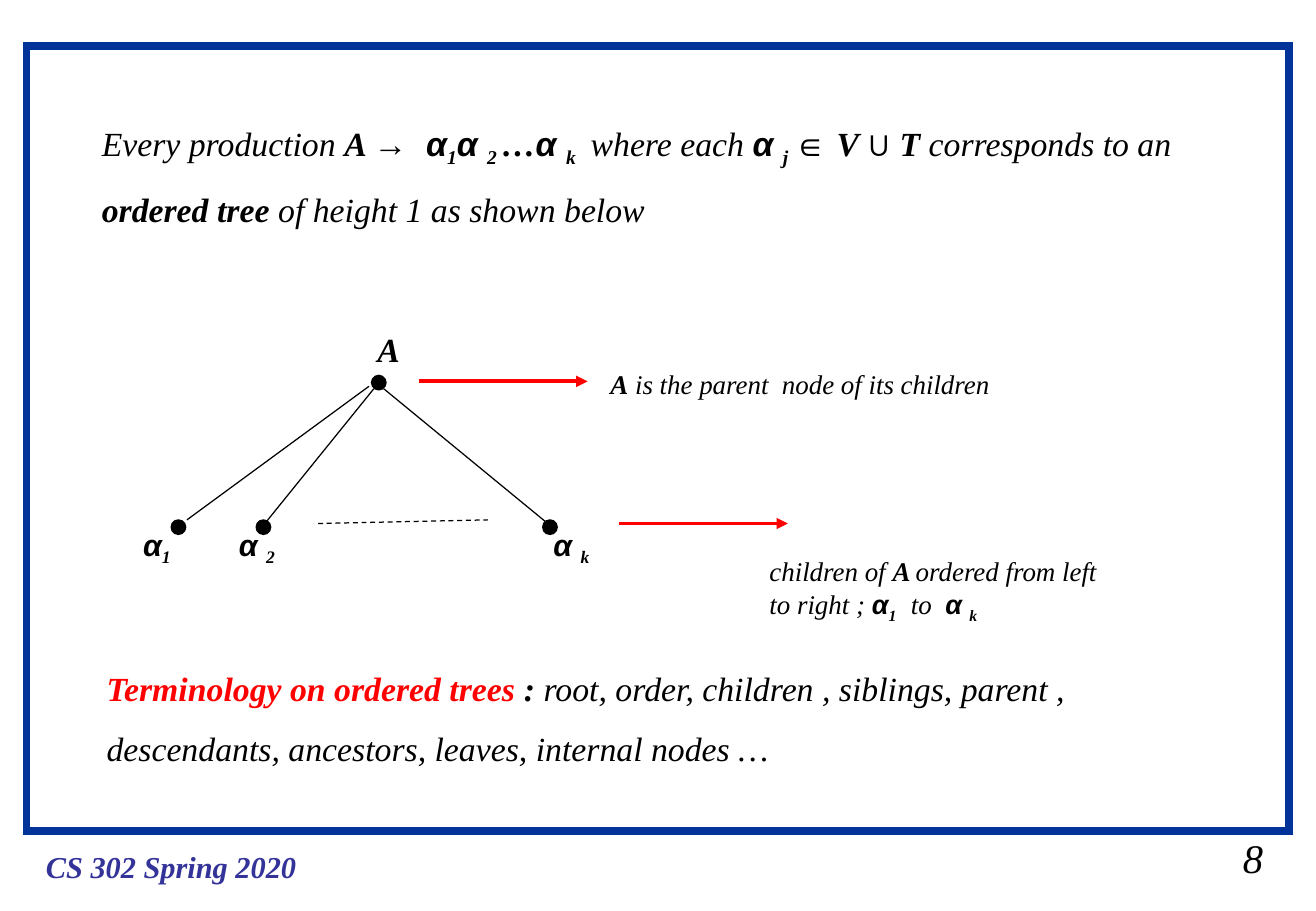
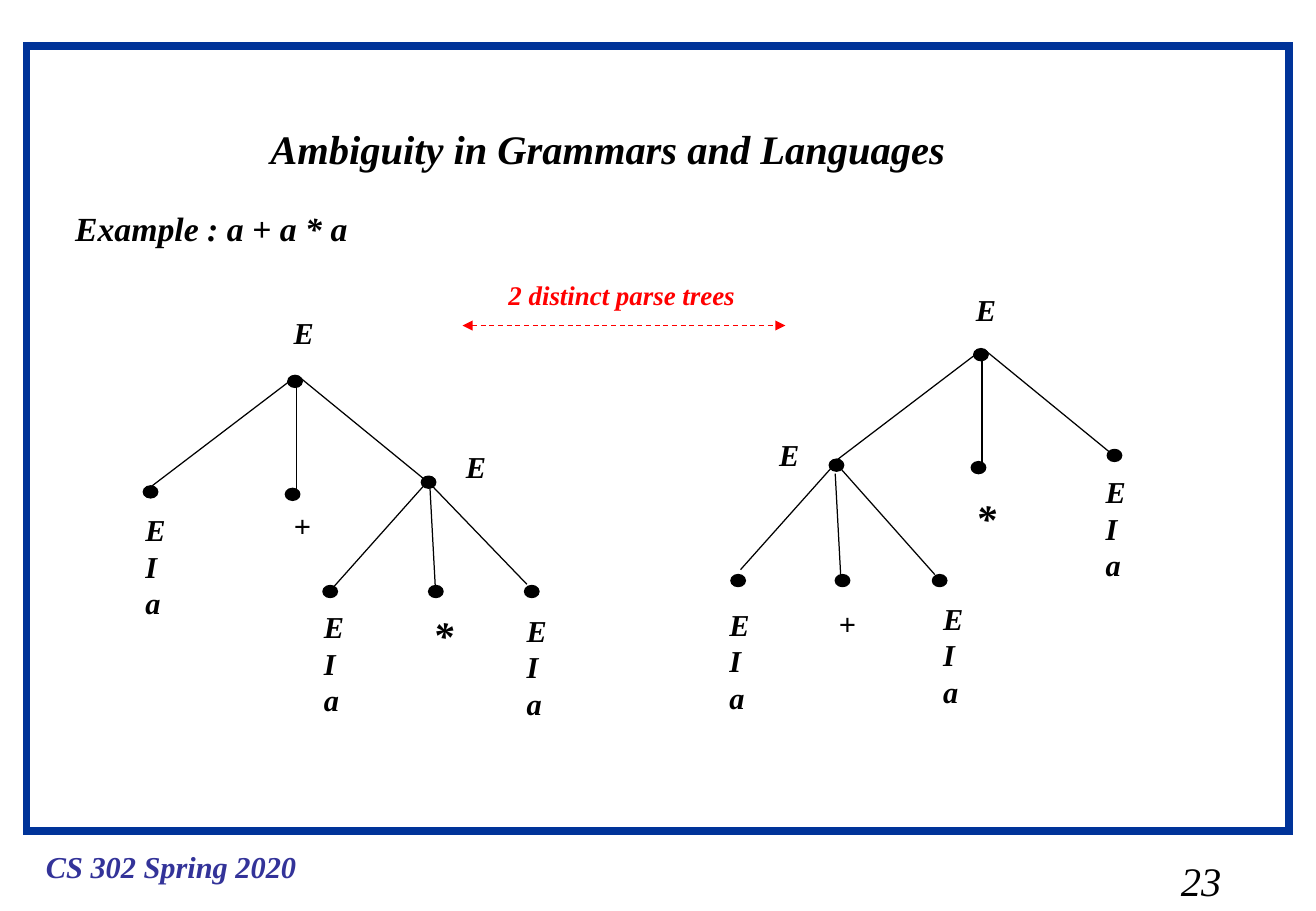
from lxml.etree import SubElement as Sub
from pptx import Presentation
from pptx.dml.color import RGBColor
from pptx.enum.dml import MSO_LINE_DASH_STYLE as Dash
from pptx.enum.shapes import MSO_CONNECTOR as Conn, MSO_SHAPE as Shape
from pptx.enum.text import MSO_AUTO_SIZE as Fit
from pptx.oxml.ns import qn
from pptx.util import Inches, Pt

BLACK, RED, FRAME, FOOT = "000000", "FF0000", "003399", "333399"
SERIF, SANS = "Times New Roman", "Arial"


def paint(form, tint):
    form.rgb = RGBColor.from_string(tint)


def write(slide, box, lines, size=18, tint=BLACK, space=None):
    """Run flags: b bold, a sans, s subscript, r red."""
    frame = slide.shapes.add_textbox(*map(Inches, box)).text_frame
    frame.word_wrap = True
    frame.auto_size = Fit.SHAPE_TO_FIT_TEXT
    for row, runs in enumerate(lines):
        para = frame.add_paragraph() if row else frame.paragraphs[0]
        if space:
            para.line_spacing = space
        for text, flags in runs:
            run = para.add_run()
            run.text = text
            font = run.font
            font.size, font.italic, font.bold = Pt(size), True, "b" in flags
            font.name = SANS if "a" in flags else SERIF
            paint(font.color, RED if "r" in flags else tint)
            if "s" in flags:
                run._r.get_or_add_rPr().set("baseline", "-25000")


def dot(slide, x, y, high):
    node = slide.shapes.add_shape(Shape.OVAL, *map(Inches, (x, y, 0.12, high)))
    node.shadow.inherit = False
    node.fill.solid()
    paint(node.fill.fore_color, BLACK)
    paint(node.line.color, BLACK)
    node.line.width = Pt(0.75)


def link(slide, start, end, tint=BLACK, width=0.75, dash=False, ends=()):
    line = slide.shapes.add_connector(
        Conn.STRAIGHT, *map(Inches, (*start, *end)))
    paint(line.line.color, tint)
    line.line.width = Pt(width)
    if dash:
        line.line.dash_style = Dash.DASH
    props = line._element.spPr
    for tip in ends:
        Sub(props.find(qn("a:ln")), qn("a:" + tip), type="triangle")
    Sub(props, qn("a:effectLst"))


def base(deck, number, place):
    slide = deck.slides.add_slide(deck.slide_layouts[6])
    frame = slide.shapes.add_shape(
        Shape.RECTANGLE, *map(Inches, (0.22, 0.38, 10.4, 6.46)))
    frame.shadow.inherit = False
    frame.fill.background()
    paint(frame.line.color, FRAME)
    frame.line.width = Pt(4.5)
    Sub(frame._element.spPr.find(qn("a:ln")), qn("a:miter"), lim="800000")
    write(slide, (0.28, 6.93, 2.6, 0.4),
          [[("CS 302 Spring 2020", "b")]], tint=FOOT)
    write(slide, place, [[(number, "")]], 24)
    return slide


def rule(slide, x, y):
    write(slide, (x, y, 9.27, 1.17), [[
        ("Every production ", ""), ("A ", "b"), ("→  α", "ab"), ("1", "bs"),
        ("α ", "ab"), ("2 ", "bs"), ("…", "b"), ("α ", "ab"), ("k   ", "bs"),
        ("where each ", ""), ("α ", "ab"), ("j ", "bs"), ("∈ ", "a"),
        ("V ", "b"), ("∪", "ab"), (" T ", "b"), ("corresponds to an ", ""),
        ("ordered tree", "b"), (" of height 1 as shown below", "")]],
        20, space=1.5)


def family(slide, x, y):
    def at(dx, dy):
        return x + dx, y + dy

    write(slide, (*at(-0.05, -0.43), 0.5, 0.44), [[("A", "b")]], 20)
    for dx, dy in ((0, 0), (-1.65, 1.19), (-0.95, 1.19), (1.41, 1.19)):
        dot(slide, *at(dx, dy), 0.12)
    for start, end in (((-0.02, 0.09), (-1.52, 1.19)),
                       ((0.02, 0.11), (-0.87, 1.21)),
                       ((0.1, 0.11), (1.44, 1.21))):
        link(slide, at(*start), at(*end))
    link(slide, at(-0.44, 1.22), at(0.96, 1.19), dash=True)
    for dx, alpha, index in ((-1.98, "α", "1"), (-1.19, "α ", "2"),
                             (1.4, "α ", "k")):
        write(slide, (*at(dx, 1.19), 0.7, 0.44),
              [[(alpha, "ab"), (index, "bs")]])
    for dx, dy in ((0.39, 0.05), (2.04, 1.22)):
        link(slide, at(dx, dy), at(dx + 1.39, dy), RED, 2.25,
             ends=["tailEnd"])
    write(slide, (*at(1.87, -0.11), 3.7, 0.37),
          [[("A", "b"), (" is the parent  node of its children", "")]], 16)
    write(slide, (*at(3.18, 1.43), 3.3, 0.67), [
        [("children of ", ""), ("A ", "b"), ("ordered from left", "")],
        [("to right ; ", ""), ("α", "ab"), ("1  ", "bs"), (" to  ", ""),
         ("α ", "ab"), ("k", "bs")]], 16)


def terms(slide, x, y):
    write(slide, (x, y, 8.6, 1.1), [
        [("Terminology on ordered trees ", "br"), (": ", "b"),
         ("root, order, children , siblings, parent ,", "")],
        [("descendants, ancestors, leaves, internal nodes …", "")]],
        20, space=1.5)


TOP = ([(0, 0), (-1.19, 0.91), (-0.02, 0.93), (1.1, 0.83)],
       [((0.04, 0.03), (-1.13, 0.92)), ((0.07, 0), (0.07, 1)),
        ((0.09, 0.01), (1.13, 0.86))])
LEFT = ([(-0.81, 0.9), (0.06, 0.9), (0.85, 0.9)],
        [((0.02, 0.08), (-0.72, 0.91)), ((0.07, 0.06), (0.12, 0.99)),
         ((0.06, 0.05), (0.87, 0.89))])
RIGHT = ([(-0.81, 0.95), (0.05, 0.95), (0.85, 0.95)],
         [((0.02, 0.07), (-0.73, 0.91)), ((0.05, 0.12), (0.1, 1.05)),
          ((0.07, 0.05), (0.87, 0.95))])


def fan(slide, x, y, form, labels):
    dots, edges = form
    for dx, dy in dots:
        dot(slide, x + dx, y + dy, 0.1)
    for (ax, ay), (bx, by) in edges:
        link(slide, (x + ax, y + ay), (x + bx, y + by))
    for text, dx, dy in labels:
        size = 24 if text == "*" else 18
        high = 0.1 + len(text) * size / 60
        write(slide, (x + dx, y + dy, 0.5, high),
              [[(mark, "b")] for mark in text], size)


def versus(slide, x, y):
    link(slide, (x, y), (x + 2.66, y), RED, dash=True,
         ends=["headEnd", "tailEnd"])
    write(slide, (x + 0.28, y - 0.44, 2.4, 0.37),
          [[("2 distinct parse trees", "b")]], 16, RED)


def main():
    deck = Presentation()
    deck.slide_width, deck.slide_height = Inches(10.84), Inches(7.5)

    slide = base(deck, "8", (10.14, 6.81, 0.5, 0.5))
    rule(slide, 0.74, 0.77)
    family(slide, 3.06, 3.09)
    terms(slide, 0.78, 5.28)

    slide = base(deck, "23", (9.63, 7, 0.8, 0.5))
    write(slide, (2.13, 0.97, 6.4, 0.5),
          [[("Ambiguity in Grammars and Languages", "b")]], 24)
    write(slide, (0.52, 1.66, 3, 0.44),
          [[("Example : a + a * a", "b")]], 20)
    fan(slide, 3.47, 3.92, LEFT,
        [("EIa", -0.9, 1.04), ("*", 0, 1.05), ("EIa", 0.77, 1.07)])
    fan(slide, 2.37, 3.09, TOP,
        [("E", -0.05, -0.55), ("EIa", -1.27, 1.07), ("+", -0.05, 1.04),
         ("E", 1.37, 0.55)])
    fan(slide, 6.83, 3.78, RIGHT,
        [("EIa", -0.92, 1.16), ("+", -0.02, 1.15), ("EIa", 0.84, 1.11)])
    fan(slide, 8.02, 2.87, TOP,
        [("E", -0.08, -0.52), ("E", -1.7, 0.67), ("*", -0.08, 1.14),
         ("EIa", 0.99, 0.98)])
    versus(slide, 3.81, 2.68)
    deck.save("out.pptx")


if __name__ == "__main__":
    main()
